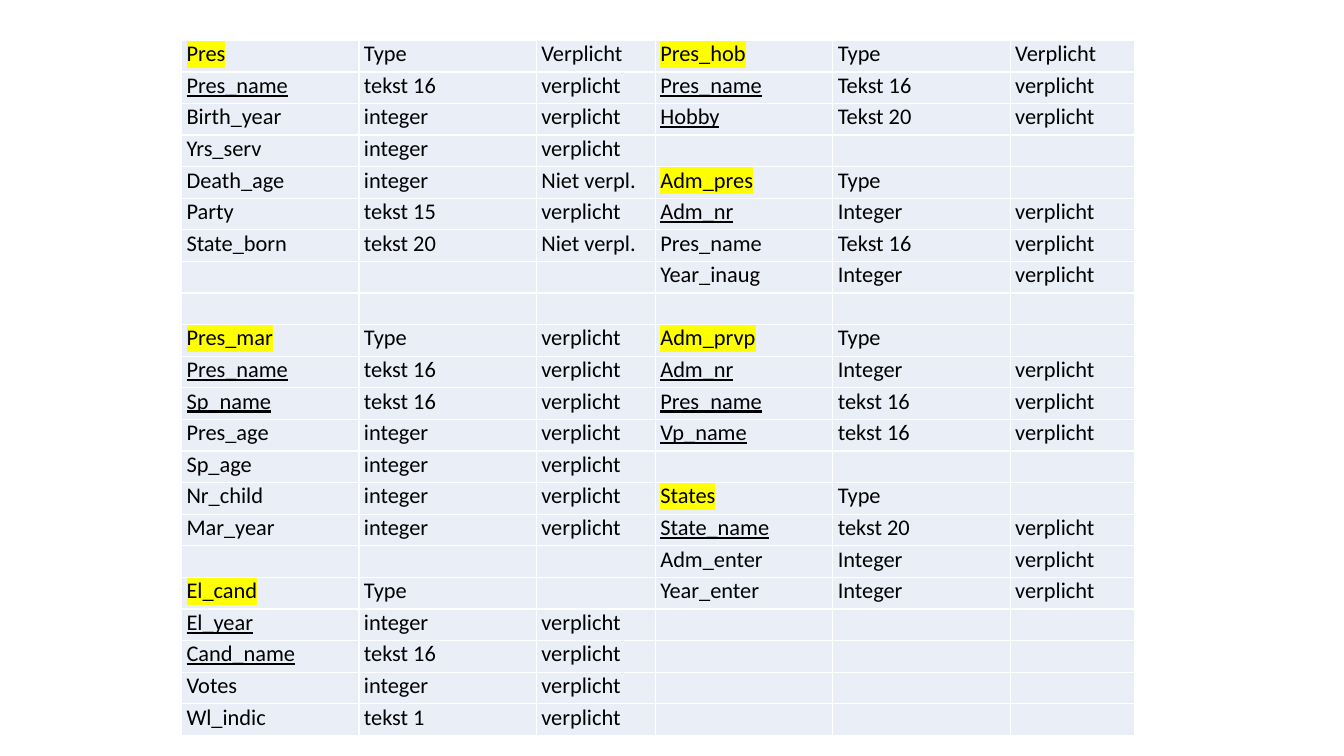
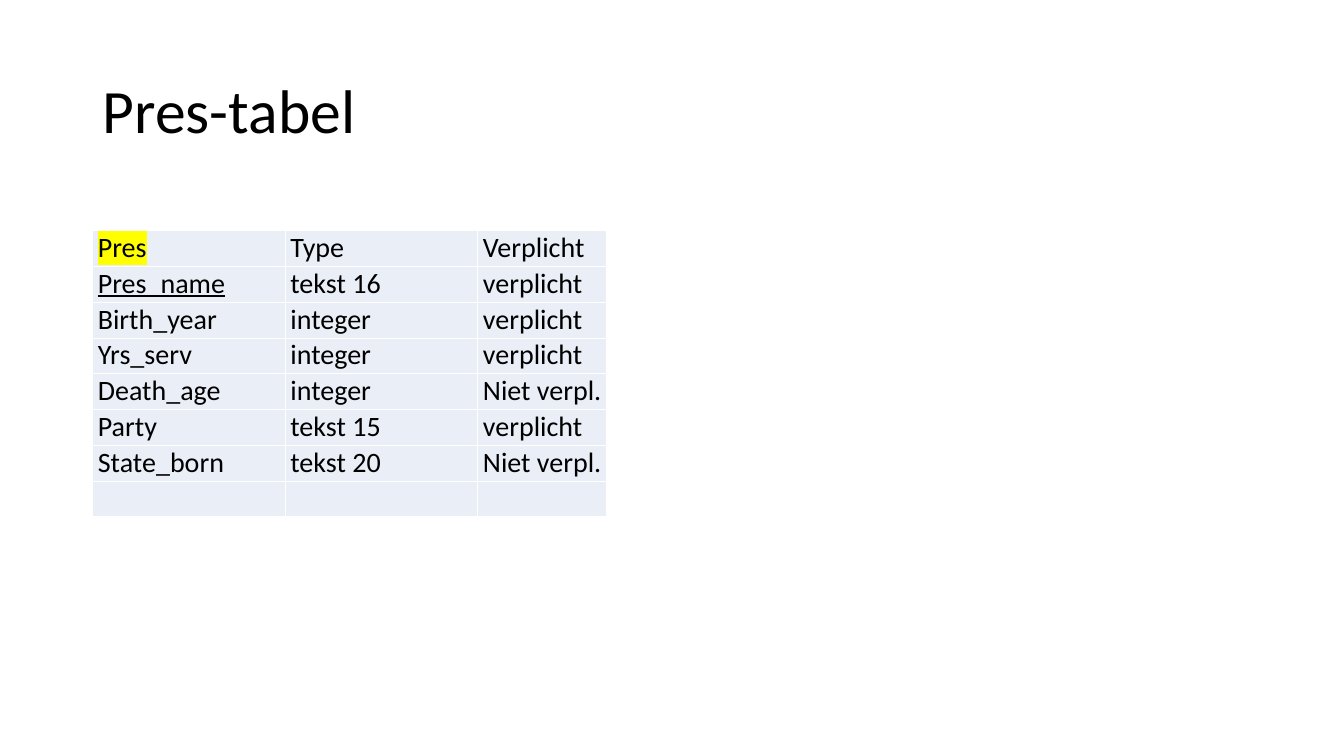
from dataclasses import dataclass

from lxml import etree
from pptx import Presentation
from pptx import util as u
from pptx.dml.color import RGBColor
from pptx.enum import text
from pptx.oxml import ns

BLACK = RGBColor(0x00, 0x00, 0x00)
WHITE = RGBColor(0xFF, 0xFF, 0xFF)
YELLOW = RGBColor(0xFF, 0xFF, 0x00)
PALE_BLUE = RGBColor(0xEA, 0xEF, 0xF7)

CELL_FORMAT = {
    "margin_left": u.Inches(0.05),
    "margin_right": u.Inches(0.05),
    "margin_top": 0,
    "margin_bottom": 0,
    "vertical_anchor": text.MSO_ANCHOR.TOP,
}
TITLE_FORMAT = {
    "word_wrap": True,
    "auto_size": text.MSO_AUTO_SIZE.NONE,
    "vertical_anchor": text.MSO_ANCHOR.MIDDLE,
}
PLAIN_TABLE = {"first_row": False, "horz_banding": False}


@dataclass
class Entity:
    name: str
    keys: int
    fields: list
    heading: str = ""


PRES = Entity("Pres", 1, [
    ("Pres_name", "tekst 16", "verplicht"),
    ("Birth_year", "integer", "verplicht"),
    ("Yrs_serv", "integer", "verplicht"),
    ("Death_age", "integer", "Niet verpl."),
    ("Party", "tekst 15", "verplicht"),
    ("State_born", "tekst 20", "Niet verpl."),
], "Verplicht")
PRES_MAR = Entity("Pres_mar", 2, [
    ("Pres_name", "tekst 16", "verplicht"),
    ("Sp_name", "tekst 16", "verplicht"),
    ("Pres_age", "integer", "verplicht"),
    ("Sp_age", "integer", "verplicht"),
    ("Nr_child", "integer", "verplicht"),
    ("Mar_year", "integer", "verplicht"),
], "verplicht")
EL_CAND = Entity("El_cand", 2, [
    ("El_year", "integer", "verplicht"),
    ("Cand_name", "tekst 16", "verplicht"),
    ("Votes", "integer", "verplicht"),
    ("Wl_indic", "tekst 1", "verplicht"),
])
PRES_HOB = Entity("Pres_hob", 2, [
    ("Pres_name", "Tekst 16", "verplicht"),
    ("Hobby", "Tekst 20", "verplicht"),
], "Verplicht")
ADM_PRES = Entity("Adm_pres", 1, [
    ("Adm_nr", "Integer", "verplicht"),
    ("Pres_name", "Tekst 16", "verplicht"),
    ("Year_inaug", "Integer", "verplicht"),
])
ADM_PRVP = Entity("Adm_prvp", 3, [
    ("Adm_nr", "Integer", "verplicht"),
    ("Pres_name", "tekst 16", "verplicht"),
    ("Vp_name", "tekst 16", "verplicht"),
])
STATES = Entity("States", 1, [
    ("State_name", "tekst 20", "verplicht"),
    ("Adm_enter", "Integer", "verplicht"),
    ("Year_enter", "Integer", "verplicht"),
])


def apply(target, formats):
    for attribute, value in formats.items():
        setattr(target, attribute, value)


class Deck:
    FONT = "Calibri"

    def __init__(self):
        self.presentation = Presentation()
        apply(self.presentation, {"slide_width": u.Inches(13.33), "slide_height": u.Inches(7.5)})
        self.slide = None

    def new_slide(self):
        self.slide = self.presentation.slides.add_slide(self.presentation.slide_layouts[6])

    def add_words(self, paragraph, wording, size, underline=False, highlight=None):
        run = paragraph.add_run()
        run.text = wording
        apply(run.font, {"name": self.FONT, "size": u.Pt(size), "underline": underline or None})
        run.font.color.rgb = BLACK
        if highlight is not None:
            marker = etree.Element(ns.qn("a:highlight"))
            etree.SubElement(marker, ns.qn("a:srgbClr"), val=str(highlight))
            run._r.get_or_add_rPr().find(ns.qn("a:solidFill")).addnext(marker)

    def title(self, wording):
        box = self.slide.shapes.add_textbox(u.Inches(0.92), u.Inches(0.4), u.Inches(11.5), u.Inches(1.45))
        apply(box.text_frame, TITLE_FORMAT)
        heading = box.text_frame.paragraphs[0]
        heading.line_spacing = 0.9
        self.add_words(heading, wording, 44)

    def style_cell(self, cell):
        apply(cell, CELL_FORMAT)
        cell.fill.solid()
        cell.fill.fore_color.rgb = PALE_BLUE
        properties = cell._tc.get_or_add_tcPr()
        for position, side in enumerate(("a:lnL", "a:lnR", "a:lnT", "a:lnB")):
            border = etree.Element(ns.qn(side), w=str(u.Pt(1)))
            paint = etree.SubElement(border, ns.qn("a:solidFill"))
            etree.SubElement(paint, ns.qn("a:srgbClr"), val=str(WHITE))
            properties.insert(position, border)

    def entity(self, grid, first_row, first_column, entity, size):
        rows = [(entity.name, "Type", entity.heading)] + entity.fields
        for row, words in enumerate(rows):
            for column, word in enumerate(words):
                if not word:
                    continue
                is_name = column == 0
                cell = grid.cell(first_row + row, first_column + column)
                self.add_words(
                    cell.text_frame.paragraphs[0], word, size,
                    underline=is_name and 1 <= row <= entity.keys,
                    highlight=YELLOW if is_name and row == 0 else None,
                )

    def schema(self, left, top, height, widths, row_count, size, columns):
        frame = self.slide.shapes.add_table(
            row_count, len(widths), u.Inches(left), u.Inches(top),
            u.Inches(sum(widths)), u.Inches(height))
        grid = frame.table
        apply(grid, PLAIN_TABLE)
        for column, width in zip(grid.columns, widths):
            column.width = u.Inches(width)
        for cell in grid.iter_cells():
            self.style_cell(cell)
        for index, entities in enumerate(columns):
            for first_row, entity in entities.items():
                self.entity(grid, first_row, 3 * index, entity, size)


def main():
    deck = Deck()

    deck.new_slide()
    deck.schema(
        1.8, 0.4, 6.9, [1.76, 1.76, 1.18, 1.76, 1.76, 1.23], 22, 16,
        [{0: PRES, 9: PRES_MAR, 17: EL_CAND},
         {0: PRES_HOB, 4: ADM_PRES, 9: ADM_PRVP, 14: STATES}])

    deck.new_slide()
    deck.title("Pres-tabel")
    deck.schema(0.92, 2.29, 2.84, [1.91, 1.91, 1.28], 8, 20, [{0: PRES}])

    deck.presentation.save("out.pptx")


if __name__ == "__main__":
    main()
